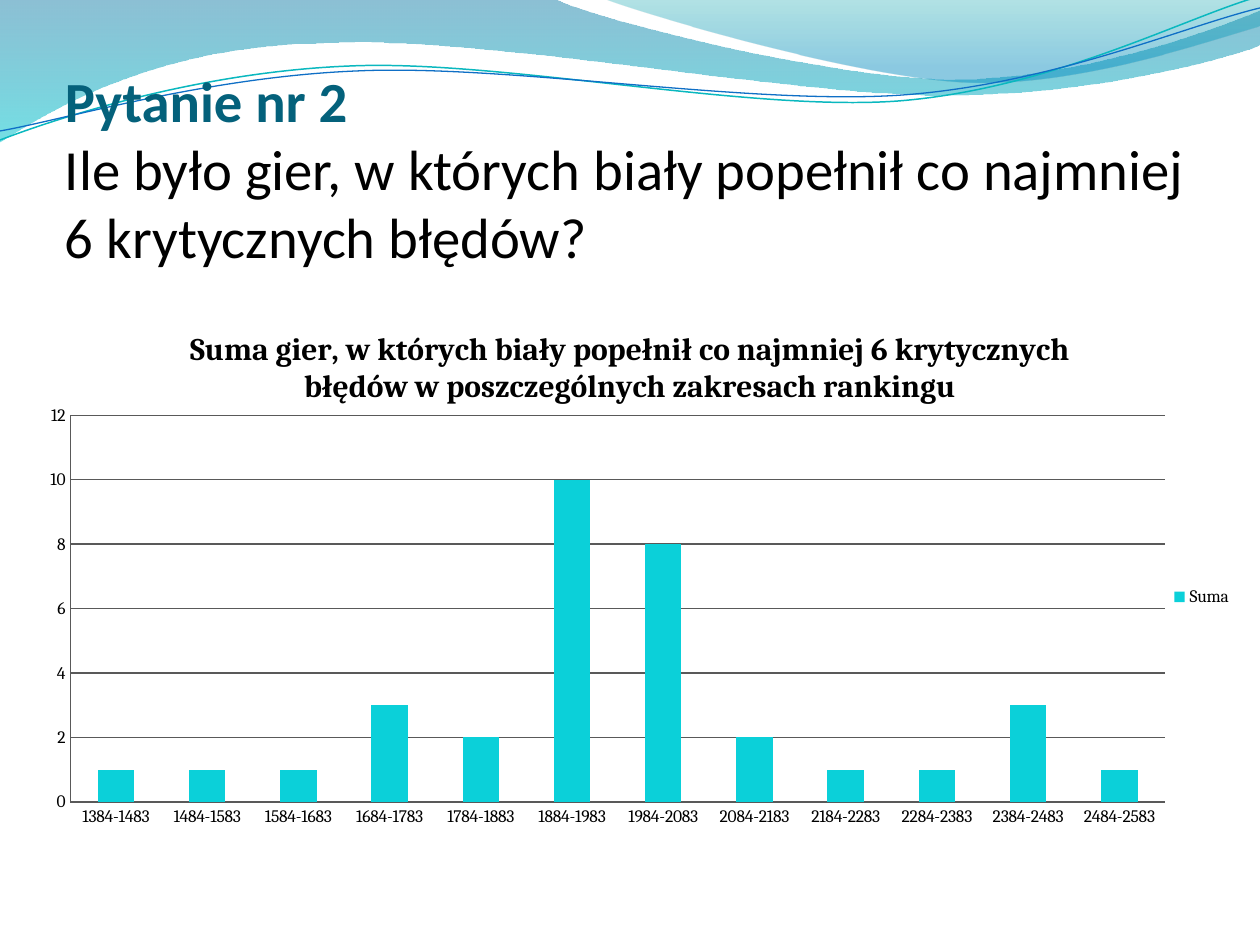
from dataclasses import dataclass
from lxml.etree import SubElement
from pptx import Presentation
from pptx.chart.data import CategoryChartData
from pptx.dml.color import RGBColor
from pptx.enum.chart import XL_CHART_TYPE as ChartType, XL_LEGEND_POSITION as LegendPos
from pptx.enum.chart import XL_TICK_MARK as TickMark
from pptx.enum.text import MSO_ANCHOR, MSO_AUTO_SIZE, PP_ALIGN
from pptx.oxml import parse_xml
from pptx.oxml.ns import nsdecls, qn
from pptx.util import Emu, Pt

SCALE = 914400 / 126


@dataclass(frozen=True)
class Theme:
    heading: str = "04617B"
    text: str = "000000"
    bar: str = "0BD0D9"
    grid: str = "595959"
    teal_line: str = "0AB8BF"
    blue_line: str = "0F6FC6"
    title_font: str = "Calibri"
    chart_font: str = "Cambria"
    title_size: float = 32.4
    chart_title_size: float = 18
    label_size: float = 10


THEME = Theme()

WAVE = [(0, 0), (554, -1), (600, 21, 837, 79, 955, 79), (1074, 79, 1207, 33, 1260, 11),
        (1261, 45), (1239, 55, 1096, 96, 940, 95), (784, 95, 481, 35, 324, 43),
        (163, 45, 58, 105, -1, 142)]
CREST = [(604, -1), (641, 14, 859, 78, 969, 82), (1079, 86, 1211, 40, 1260, 26), (1260, 0)]
TEAL_CURVE = [(0, 140), (60, 117, 199, 72, 349, 66), (498, 59, 747, 112, 898, 101),
              (1050, 89, 1182, 19, 1257, -3)]
BLUE_CURVE = [(0, 131), (59, 121, 206, 77, 357, 71), (508, 64, 752, 106, 903, 95),
              (1053, 84, 1185, 26, 1260, 8)]

GAMES = [1, 1, 1, 3, 2, 10, 8, 2, 1, 1, 3, 1]
RATINGS = [f"{low}-{low + 99}" for low in range(1384, 2485, 100)]
QUESTION = "Ile było gier, w których biały popełnił co najmniej 6 krytycznych błędów?"
CHART_TITLE = ("Suma gier, w których biały popełnił co najmniej 6 krytycznych "
               "błędów w poszczególnych zakresach rankingu")


def px(value):
    return Emu(round(value * SCALE))


def rgb(color):
    return RGBColor.from_string(color)


def style_font(font, name, size, color, bold=False):
    font.name, font.size, font.bold = name, Pt(size), bold
    font.color.rgb = rgb(color)


def bend(sp, segments):
    lines = list(sp._element.iter(qn("a:lnTo")))
    for line, seg in zip(lines, segments[1:]):
        if len(seg) == 2:
            continue
        line.clear()
        curve = SubElement(line.getparent(), qn("a:cubicBezTo"))
        for x, y in zip(seg[::2], seg[1::2]):
            SubElement(curve, qn("a:pt"), x=str(px(x) - sp.left), y=str(px(y) - sp.top))
        line.getparent().replace(line, curve)


def add_outline(slide, segments, close):
    points = [(px(seg[-2]), px(seg[-1])) for seg in segments]
    builder = slide.shapes.build_freeform(*points[0], scale=1.0)
    builder.add_line_segments(points[1:], close=False)
    if close:
        builder.add_line_segments([], close=True)
    sp = builder.convert_to_shape()
    bend(sp, segments)
    sp.shadow.inherit = False
    return sp


def add_gradient_wave(slide, segments, stops):
    sp = add_outline(slide, segments, True)
    sp.line.fill.background()
    sp.fill.gradient()
    sp.fill.gradient_angle = 270
    for stop, (position, color, _) in zip(sp.fill.gradient_stops, stops):
        stop.position = position
        stop.color.rgb = rgb(color)
    colors = sp._element.spPr.iter(qn("a:srgbClr"))
    for node, (_, _, opacity) in zip(colors, stops):
        SubElement(node, qn("a:alpha"), val=str(opacity * 1000))


def add_curve(slide, segments, color, width):
    sp = add_outline(slide, segments, False)
    sp.fill.background()
    sp.line.color.rgb = rgb(color)
    sp.line.width = Pt(width)


def add_title_run(p, text, color, bold):
    r = p.add_run()
    r.text = text
    style_font(r.font, THEME.title_font, THEME.title_size, color, bold)
    r.font._element.set("kern", "0")


def set_title(slide):
    sp = slide.shapes.title
    sp.left, sp.top, sp.width, sp.height = px(65), px(204), px(1134), px(158)
    slide.shapes._spTree.append(sp._element)
    tf = sp.text_frame
    tf.word_wrap = True
    tf.auto_size = MSO_AUTO_SIZE.NONE
    tf.vertical_anchor = MSO_ANCHOR.BOTTOM
    tf.margin_left = tf.margin_right = tf.margin_top = 0
    tf.margin_bottom = px(92)
    p = tf.paragraphs[0]
    p.alignment = PP_ALIGN.LEFT
    add_title_run(p, "Pytanie nr 2", THEME.heading, True)
    p.add_line_break()
    add_title_run(p, QUESTION, THEME.text, False)


def format_axis(axis):
    axis.major_tick_mark = axis.minor_tick_mark = TickMark.NONE
    axis.format.line.color.rgb = rgb(THEME.grid)
    axis.format.line.width = Pt(0.75)


def place_plot(chart, x, y, w, h):
    plot_area = chart._chartSpace.chart.plotArea
    for old in plot_area.findall(qn("c:layout")):
        plot_area.remove(old)
    plot_area.insert(0, parse_xml(
        f'<c:layout {nsdecls("c")}><c:manualLayout><c:layoutTarget val="inner"/>'
        '<c:xMode val="edge"/><c:yMode val="edge"/>'
        f'<c:x val="{x}"/><c:y val="{y}"/><c:w val="{w}"/><c:h val="{h}"/>'
        '</c:manualLayout></c:layout>'))


def add_games_chart(slide):
    data = CategoryChartData()
    data.categories = RATINGS
    data.add_series("Suma", GAMES)
    chart = slide.shapes.add_chart(ChartType.COLUMN_CLUSTERED, px(15), px(304),
                                   px(1230), px(586), data).chart
    style_font(chart.font, THEME.chart_font, THEME.label_size, THEME.text)
    chart.has_title = True
    r = chart.chart_title.text_frame.paragraphs[0].add_run()
    r.text = CHART_TITLE
    style_font(r.font, THEME.chart_font, THEME.chart_title_size, THEME.text, True)
    chart.chart_title.include_in_layout = False
    chart.has_legend = True
    chart.legend.position = LegendPos.RIGHT
    chart.legend.include_in_layout = False
    plot = chart.plots[0]
    plot.vary_by_categories = False
    plot.gap_width = 150
    fill = plot.series[0].format.fill
    fill.solid()
    fill.fore_color.rgb = rgb(THEME.bar)
    format_axis(chart.category_axis)
    values = chart.value_axis
    format_axis(values)
    values.minimum_scale, values.maximum_scale, values.major_unit = 0, 12, 2
    values.has_major_gridlines = True
    grid = values.major_gridlines.format.line
    grid.color.rgb = rgb(THEME.grid)
    grid.width = Pt(0.75)
    place_plot(chart, 0.045, 0.19, 0.89, 0.66)


def main():
    prs = Presentation()
    prs.slide_width, prs.slide_height = px(1260), px(945)
    slide = prs.slides.add_slide(prs.slide_layouts.get_by_name("Title Only"))
    add_gradient_wave(slide, WAVE, [(0, "0074A1", 45), (1, "00C6CF", 55)])
    add_gradient_wave(slide, CREST, [(0, "00A1A9", 30), (0.8, "008BBF", 45)])
    add_curve(slide, TEAL_CURVE, THEME.teal_line, 0.85)
    add_curve(slide, BLUE_CURVE, THEME.blue_line, 0.75)
    set_title(slide)
    add_games_chart(slide)
    prs.save("out.pptx")


main()
